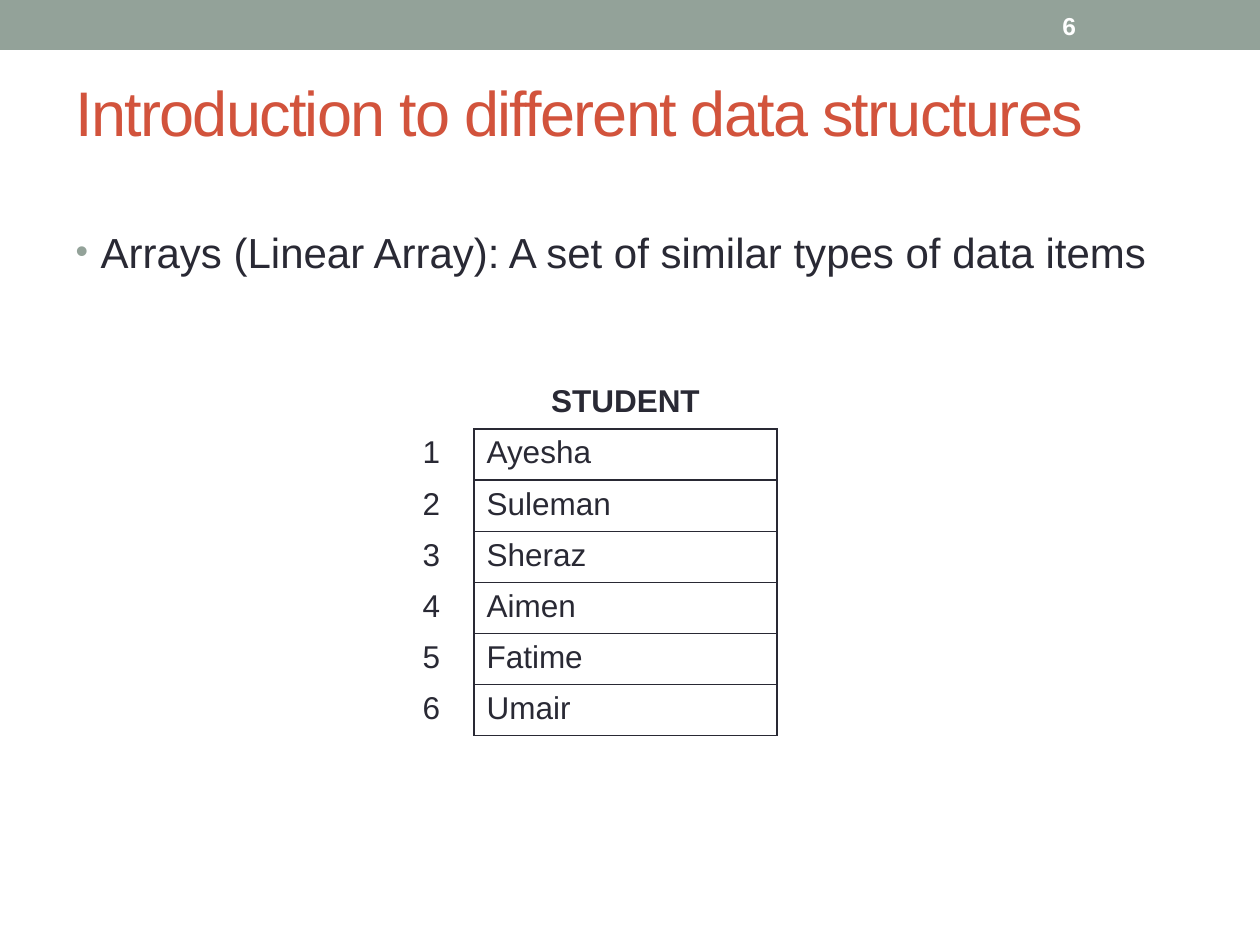
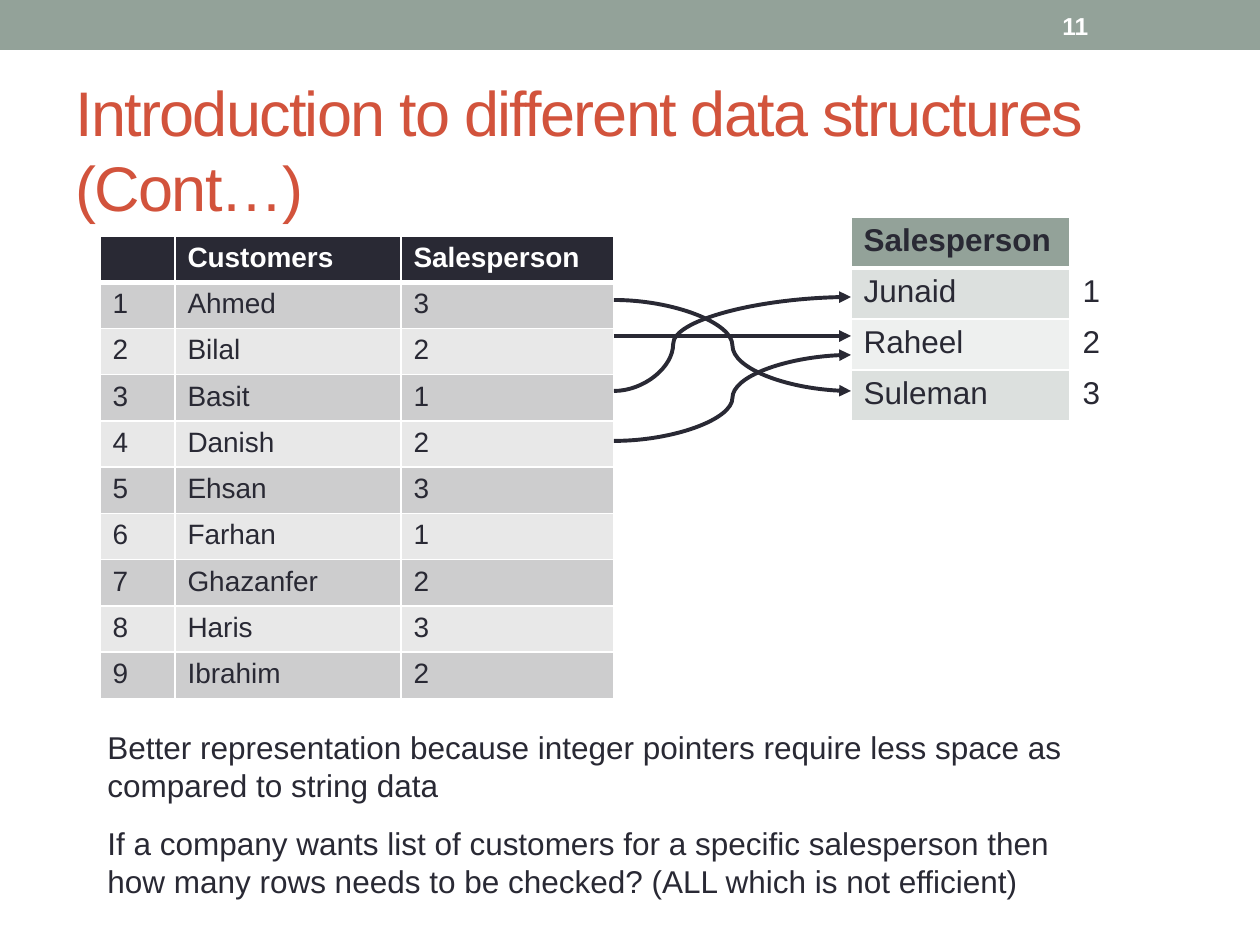
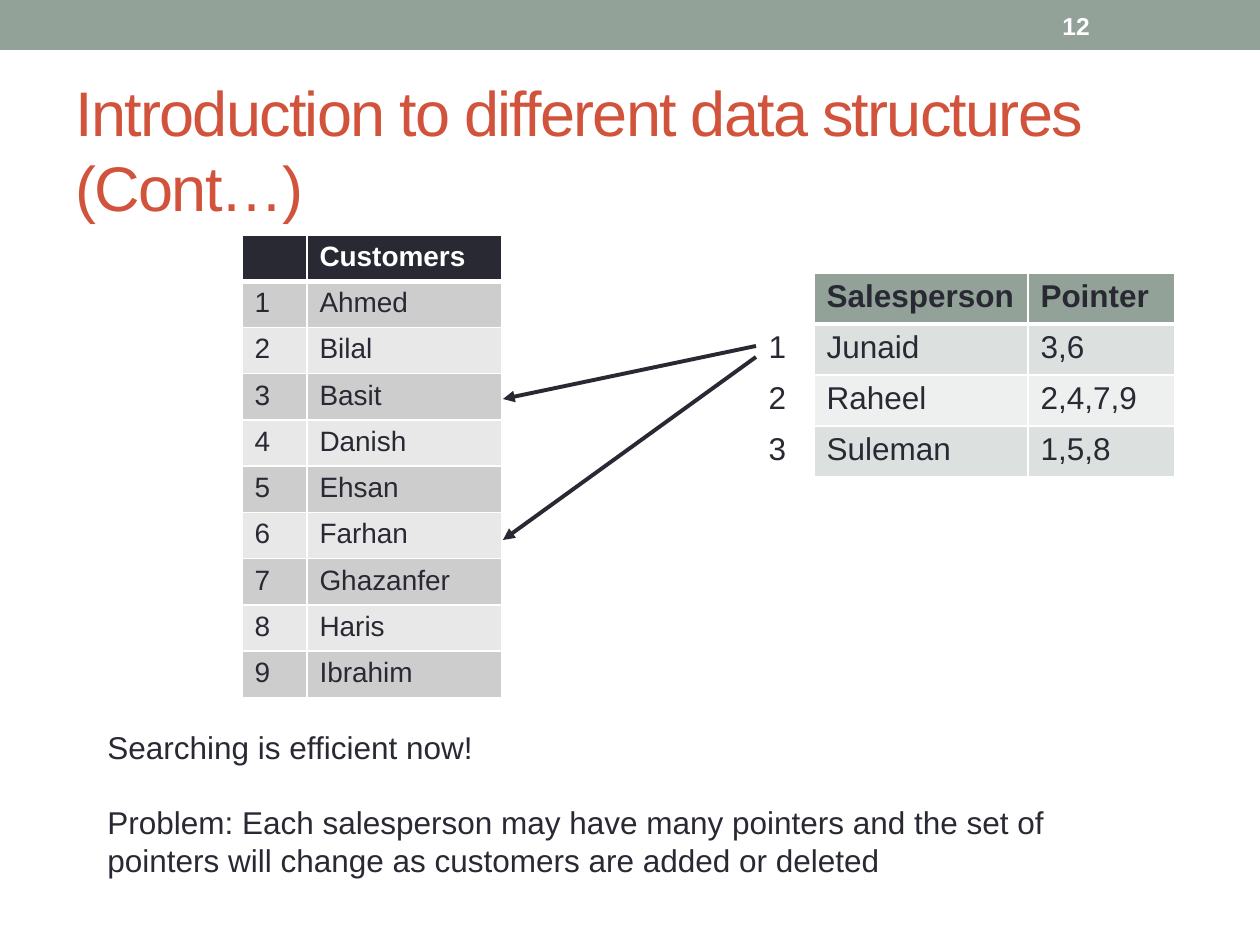
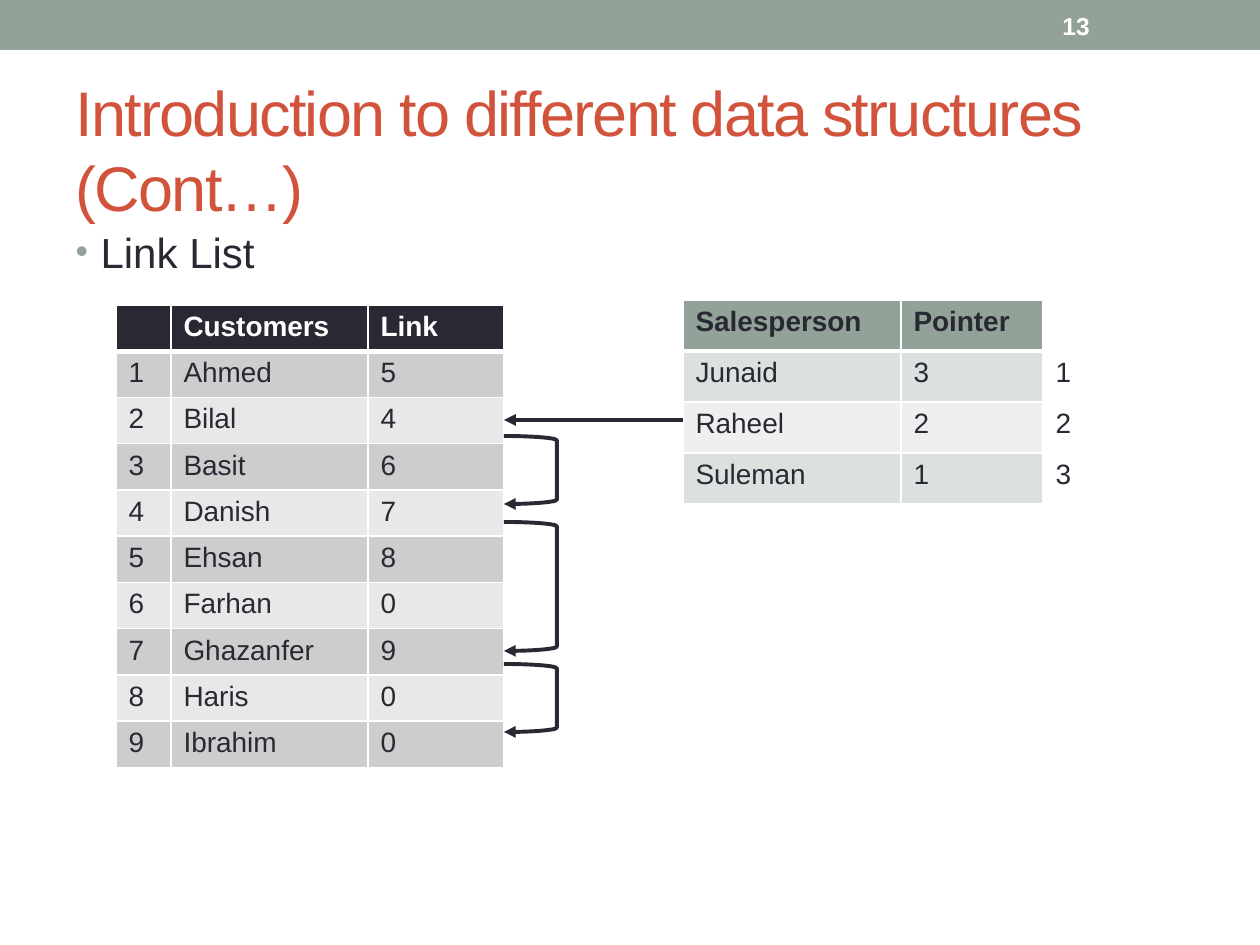
from lxml import etree
from pptx import Presentation, util as u
from pptx.dml.color import RGBColor
from pptx.enum import shapes, text
from pptx.oxml.ns import qn

COLORS = {"ink": "292934", "sage": "93A299", "red": "D2533C", "white": "FFFFFF",
          "gray": "CDCDCE", "pale gray": "E8E8E8",
          "mist": "DCE0DE", "pale mist": "EEF0EF"}
FONT = "Arial"
SCALE = u.Inches(1) / 126

TITLE = "Introduction to different data structures"
CONTINUED = TITLE + " (Cont…)"
STUDENTS = ["Ayesha", "Suleman", "Sheraz", "Aimen", "Fatime", "Umair"]
CUSTOMERS = ["Ahmed", "Bilal", "Basit", "Danish", "Ehsan",
             "Farhan", "Ghazanfer", "Haris", "Ibrahim"]
SALESPEOPLE = ["Junaid", "Raheel", "Suleman"]
SALESPERSON_OF = [3, 2, 1, 2, 3, 1, 2, 3, 2]
CUSTOMERS_OF = ["3,6", "2,4,7,9", "1,5,8"]
NEXT_CUSTOMER = [5, 4, 6, 7, 8, 0, 9, 0, 0]
FIRST_CUSTOMER = [3, 2, 1]

# Header fill, header text, alternating row fills
DARK = ("ink", "white", ("gray", "pale gray"))
SAGE = ("sage", "ink", ("mist", "pale mist"))


def numbered(*columns):
    return list(zip(range(1, len(columns[0]) + 1), *columns))


# "bare" is the column that holds row numbers outside the filled area
SLIDES = [
    {"number": 6, "title": TITLE,
     "bullet": "Arrays (Linear Array): A set of similar types of data items",
     "tables": [{"at": (410, 378), "cols": (64, 303), "height": 358, "size": 18,
                 "style": None, "bare": 0,
                 "rows": [("", "STUDENT")] + numbered(STUDENTS)}]},
    {"number": 11, "title": CONTINUED,
     "notes": [(722, 1040, ["Better representation because integer pointers require "
                            "less space as compared to string data"]),
               (818, 983, ["If a company wants list of customers for a specific "
                           "salesperson then how many rows needs to be checked? "
                           "(ALL which is not efficient)"])],
     "tables": [{"at": (100, 236), "cols": (75, 226, 213), "height": 462, "size": 16,
                 "style": DARK, "bare": None,
                 "rows": [("", "Customers", "Salesperson")]
                 + numbered(CUSTOMERS, SALESPERSON_OF)},
                {"at": (851, 217), "cols": (219, 59), "height": 204, "size": 18,
                 "style": SAGE, "bare": 1,
                 "rows": [("Salesperson", "")] + list(zip(SALESPEOPLE, (1, 2, 3)))}],
     "arrows": [("STRAIGHT", (614, 336, 851, 336), 50),
                ("CURVE", (614, 300, 851, 391), 50),
                ("CURVE", (614, 391, 851, 297), 25),
                ("CURVE", (614, 441, 851, 355), 50)]},
    {"number": 12, "title": CONTINUED,
     "notes": [(722, 1040, ["Searching is efficient now!",
                            "Problem: Each salesperson may have many pointers and the "
                            "set of pointers will change as customers are added or "
                            "deleted"])],
     "tables": [{"at": (242, 235), "cols": (65, 195), "height": 462, "size": 16,
                 "style": DARK, "bare": None,
                 "rows": [("", "Customers")] + numbered(CUSTOMERS)},
                {"at": (756, 273), "cols": (58, 214, 147), "height": 204, "size": 18,
                 "style": SAGE, "bare": 0,
                 "rows": [("", "Salesperson", "Pointer")]
                 + numbered(SALESPEOPLE, CUSTOMERS_OF)}],
     "arrows": [("STRAIGHT", (756, 346, 503, 399), 50),
                ("STRAIGHT", (756, 357, 503, 540), 50)]},
    {"number": 13, "title": CONTINUED, "bullet": "Link List",
     "tables": [{"at": (116, 305), "cols": (55, 197, 136), "height": 462, "size": 16,
                 "style": DARK, "bare": None,
                 "rows": [("", "Customers", "Link")]
                 + numbered(CUSTOMERS, NEXT_CUSTOMER)},
                {"at": (683, 300), "cols": (218, 142, 122), "height": 204, "size": 16,
                 "style": SAGE, "bare": 2,
                 "rows": [("Salesperson", "Pointer", "")]
                 + list(zip(SALESPEOPLE, FIRST_CUSTOMER, (1, 2, 3)))}],
     "arrows": [("STRAIGHT", (683, 420, 504, 420), 50)],
     "brackets": [(436, 68), (522, 129), (664, 68)]},
]


def px(*lengths):
    return [u.Emu(round(length * SCALE)) for length in lengths]


def rgb(name):
    return RGBColor.from_string(COLORS[name])


def add_xml(parent, tag, **attributes):
    return etree.SubElement(parent, qn(tag), attributes)


def style_font(para, size, color, bold=False):
    font = para.font
    font.name, font.size, font.bold = FONT, u.Pt(size), bold
    font.color.rgb = rgb(color)


def place(shape, *frame):
    shape.left, shape.top, shape.width, shape.height = px(*frame)


def add_band(deck, page):
    """Draw the top band once and move it to the slide master."""
    band = page.shapes.add_shape(shapes.MSO_SHAPE.RECTANGLE, *px(0, 0, 1260, 50))
    band.shadow.inherit = False
    band.fill.solid()
    band.fill.fore_color.rgb = rgb("sage")
    band.line.fill.background()
    band.element.xpath(".//p:cNvPr")[0].set("id", "20")
    deck.slide_master.shapes.element.insert(2, band.element)


def fill_title(title, words):
    place(title, 63, 73, 1134, 136)
    frame = title.text_frame
    frame.text = words
    frame.auto_size = text.MSO_AUTO_SIZE.NONE
    frame.vertical_anchor = text.MSO_ANCHOR.TOP
    frame.margin_top = 0
    para = frame.paragraphs[0]
    para.alignment = text.PP_ALIGN.LEFT
    style_font(para, 36, "red")
    for props in title.element.iter(qn("a:defRPr")):
        props.set("spc", "-100")


def fill_bullet(body, words):
    place(body, 63, 220, 1134, 672)
    body.text_frame.text = words
    para = body.text_frame.paragraphs[0]
    para.space_before = u.Pt(5)
    style_font(para, 24, "ink")
    props = body.element.find(".//" + qn("a:pPr"))
    indent = px(25)[0]
    props.set("marL", str(indent))
    props.set("indent", str(-indent))
    color = etree.Element(qn("a:buClr"))
    add_xml(color, "a:srgbClr", val=COLORS["sage"])
    size = etree.Element(qn("a:buSzPct"), val="85000")
    char = etree.Element(qn("a:buChar"), char="•")
    for bullet_part in (color, size, char):
        props.find(qn("a:defRPr")).addprevious(bullet_part)


def add_text(page, frame, lines, size, color, bold=False):
    box = page.shapes.add_textbox(*px(*frame))
    box.text_frame.word_wrap = True
    box.text_frame.text = "\n".join(lines)
    for index, para in enumerate(box.text_frame.paragraphs):
        style_font(para, size, color, bold)
        if index:
            para.space_before = u.Pt(21)
    return box


def set_borders(props, borders):
    """Take (color, points) or None for left, right, top and bottom."""
    for side, border in zip("LRTB", borders):
        if border:
            line = add_xml(props, "a:ln" + side, w=str(u.Pt(border[1])))
            add_xml(add_xml(line, "a:solidFill"), "a:srgbClr", val=COLORS[border[0]])
        else:
            add_xml(add_xml(props, "a:ln" + side, w="0"), "a:noFill")


def cell_borders(row, col, style):
    if style:
        thin, thick = ("white", 1), ("white", 3)
        return (thin, thin, thick if row == 1 else thin, thin if row else thick)
    edge = ("ink", 1)
    if col == 0:
        return (None, edge if row else None, None, None)
    return (edge,) * 4 if row else (None, None, None, edge)


def add_grid(page, at, cols, height, size, style, bare, rows):
    frame = page.shapes.add_table(len(rows), len(cols), *px(*at, sum(cols), height))
    table = frame.table
    table.first_row = table.horz_banding = False
    for column, width in zip(table.columns, px(*cols)):
        column.width = width
    for r, row in enumerate(rows):
        for c, value in enumerate(row):
            cell = table.cell(r, c)
            cell.text = str(value)
            para = cell.text_frame.paragraphs[0]
            header_color = style[1] if style else "ink"
            style_font(para, size, "ink" if r else header_color, bold=r == 0)
            if not style and r == 0:
                para.alignment = text.PP_ALIGN.CENTER
            cell.fill.background()
            if style and c != bare:
                cell.fill.solid()
                cell.fill.fore_color.rgb = rgb(style[2][(r - 1) % 2] if r else style[0])
    # Borders come before the fill in the cell properties
    for index, props in enumerate(frame.element.iter(qn("a:tcPr"))):
        fill = props[0]
        set_borders(props, cell_borders(*divmod(index, len(cols)), style))
        props.append(fill)
    for para in frame.element.iter(qn("a:p")):
        if para.find(qn("a:r")) is None:
            add_xml(para, "a:endParaRPr", sz=str(size * 100))


def draw_arrow_line(shape):
    shape.line.color.rgb = rgb("ink")
    shape.line.width = u.Pt(2.25)
    add_xml(shape.element.find(".//" + qn("a:ln")), "a:tailEnd", type="triangle")


def add_arrow(page, kind, ends, bend):
    """Bend is the percentage of the width at which a curve turns."""
    arrow = page.shapes.add_connector(shapes.MSO_CONNECTOR[kind], *px(*ends))
    draw_arrow_line(arrow)
    add_xml(arrow.element.spPr, "a:effectLst")
    if bend != 50:
        add_xml(arrow.element.find(".//" + qn("a:avLst")), "a:gd",
                name="adj1", fmla=f"val {bend * 1000}")


def add_bracket(page, top, height):
    bracket = page.shapes.add_shape(shapes.MSO_SHAPE.RIGHT_BRACKET,
                                    *px(504, top, 53, height))
    bracket.shadow.inherit = False
    bracket.fill.background()
    draw_arrow_line(bracket)


def build_slide(deck, content):
    has_bullet = "bullet" in content
    layout = "Title and Content" if has_bullet else "Title Only"
    page = deck.slides.add_slide(deck.slide_layouts.get_by_name(layout))
    fill_title(page.shapes.title, content["title"])
    if has_bullet:
        fill_bullet(page.placeholders[1], content["bullet"])
    number = add_text(page, (1050, 3, 147, 45), [str(content["number"])],
                      14, "white", bold=True)
    number.text_frame.vertical_anchor = text.MSO_ANCHOR.MIDDLE
    for top, width, lines in content.get("notes", []):
        add_text(page, (95, top, width, 89 if len(lines) == 1 else 165),
                 lines, 18, "ink")
    for grid in content["tables"]:
        add_grid(page, **grid)
    for arrow in content.get("arrows", []):
        add_arrow(page, *arrow)
    for bracket in content.get("brackets", []):
        add_bracket(page, *bracket)
    return page


def main():
    deck = Presentation()
    deck.slide_width, deck.slide_height = px(1260, 945)
    pages = [build_slide(deck, content) for content in SLIDES]
    add_band(deck, pages[0])
    deck.save("out.pptx")


if __name__ == "__main__":
    main()
